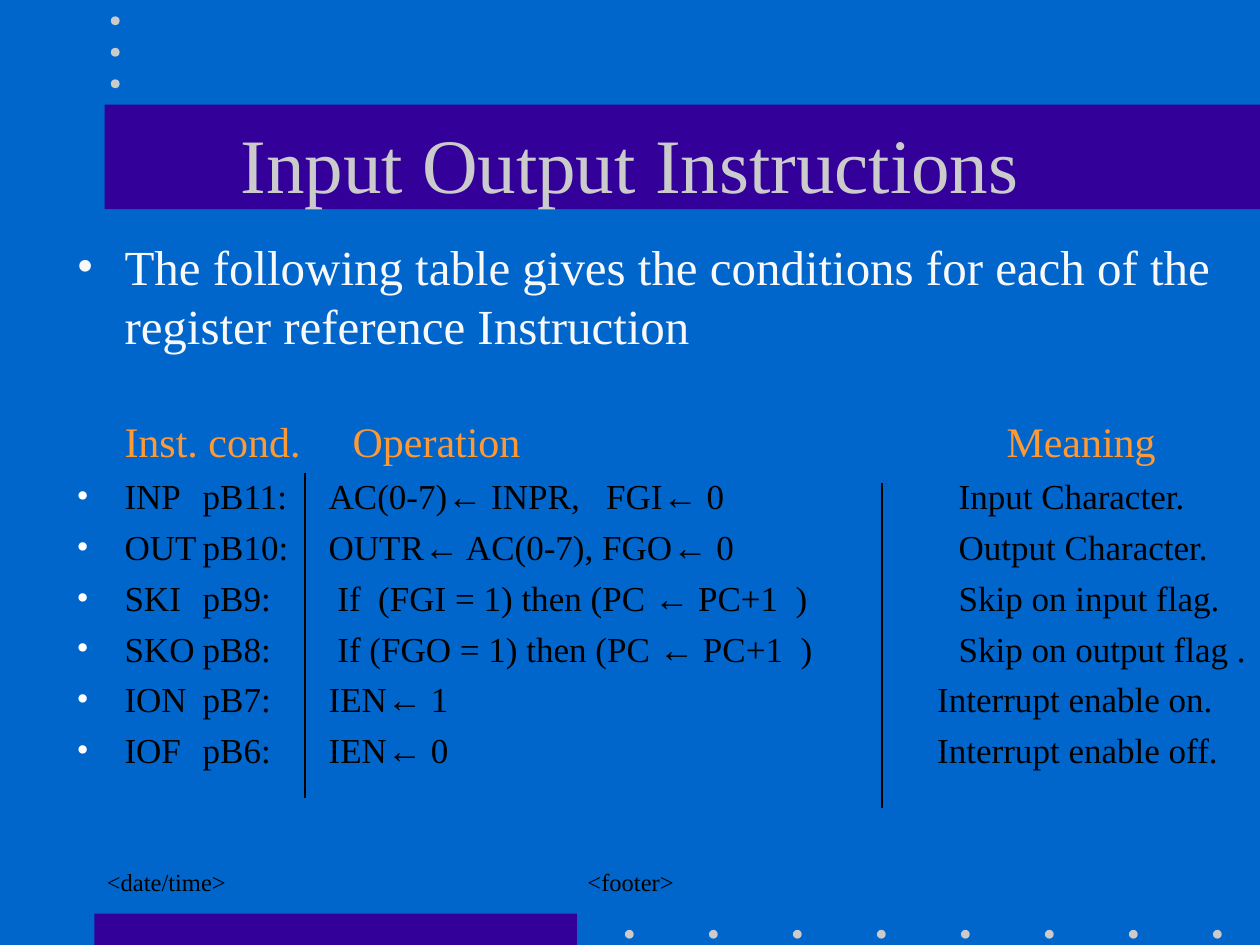
from lxml import etree
from pptx import Presentation
from pptx.dml.color import RGBColor
from pptx.enum import shapes, text
from pptx.oxml import ns
from pptx.util import Inches, Pt

BLUE = RGBColor(0x00, 0x66, 0xCC)
PURPLE = RGBColor(0x33, 0x00, 0x99)
GREY = RGBColor(0xCB, 0xCB, 0xCB)
OFF_WHITE = RGBColor(0xF8, 0xF8, 0xF8)
WHITE = RGBColor(0xFF, 0xFF, 0xFF)
ORANGE = RGBColor(0xFF, 0x99, 0x33)
BLACK = RGBColor(0x00, 0x00, 0x00)
SERIF, ARROW_FONT, ARROW = "Times New Roman", "Arial", "←"

TITLE = "Input Output Instructions"
INTRO = ("The following table gives the conditions for each of the "
         "register reference Instruction")
HEADINGS = ("Inst. cond.", "Operation", "Meaning")
# instruction, condition, operation, meaning, tab position of the meaning
INSTRUCTIONS = [
    ("INP", "pB11:", "AC(0-7)← INPR,   FGI← 0", "Input Character.", 7),
    ("OUT", "pB10:", "OUTR← AC(0-7), FGO← 0", "Output Character.", 7),
    ("SKI", "pB9:", " If  (FGI = 1) then (PC ← PC+1  )", "Skip on input flag.", 7),
    ("SKO", "pB8:", " If (FGO = 1) then (PC ← PC+1  )", "Skip on output flag .", 7),
    ("ION", "pB7:", "IEN← 1", "Interrupt enable on.", 6.83),
    ("IOF", "pB6:", "IEN← 0", "Interrupt enable off.", 6.83),
]
INDENT = 0.38
HEADING_TABS = (INDENT, 2.19, 7.38)
FOOTERS = [
    ("<date/time>", 0.75, 2.08, text.PP_ALIGN.LEFT),
    ("<footer>", 3.42, 3.17, text.PP_ALIGN.CENTER),
]
BANDS = [(0.75, 7.25, 3.83, 0.25), (0.83, 0.83, 9.17, 0.83)]
DOT = 0.07
DOTS = ([(4.96 + column * 2 / 3, 7.38) for column in range(8)]
        + [(0.88, 0.13 + row / 4) for row in range(3)])
DIVIDERS = [(2.42, 3.75), (7, 3.83)]
DIVIDER_HEIGHT = 2.58


def add_decoration(slide, kind, box, color):
    shape = slide.shapes.add_shape(kind, *map(Inches, box))
    shape.shadow.inherit = False
    shape.fill.solid()
    shape.fill.fore_color.rgb = color
    shape.line.fill.background()


def add_divider(slide, x, y):
    line = slide.shapes.add_connector(
        shapes.MSO_CONNECTOR.STRAIGHT, Inches(x), Inches(y),
        Inches(x), Inches(y + DIVIDER_HEIGHT))
    line.line.color.rgb = BLACK
    line.line.width = Pt(1)
    etree.SubElement(line._element.spPr, ns.qn("a:effectLst"))


def set_up_frame(shape, anchor=text.MSO_ANCHOR.TOP):
    frame = shape.text_frame
    frame.word_wrap = True
    frame.auto_size = text.MSO_AUTO_SIZE.NONE
    frame.vertical_anchor = anchor
    return frame


def write(paragraph, content, size, color, align=text.PP_ALIGN.LEFT,
          before=0, bullet=None, tabs=()):
    """Fill a paragraph, giving each arrow its own font."""
    paragraph.alignment = align
    paragraph.space_before = Pt(before)
    properties = paragraph._p.get_or_add_pPr()
    if bullet is not None:
        properties.set("marL", str(Inches(INDENT)))
        properties.set("indent", str(-Inches(INDENT)))
        bullet_color = etree.SubElement(properties, ns.qn("a:buClr"))
        etree.SubElement(bullet_color, ns.qn("a:srgbClr"), val=str(bullet))
        etree.SubElement(properties, ns.qn("a:buFont"), typeface=SERIF)
        etree.SubElement(properties, ns.qn("a:buChar"), char="•")
    if tabs:
        tab_list = etree.SubElement(properties, ns.qn("a:tabLst"))
        for position in tabs:
            etree.SubElement(tab_list, ns.qn("a:tab"),
                             pos=str(Inches(position)), algn="l")
    for index, part in enumerate(content.split(ARROW)):
        pieces = [(part, SERIF)]
        if index:
            pieces.insert(0, (ARROW, ARROW_FONT))
        for piece, name in pieces:
            run = paragraph.add_run()
            run.text = piece
            run.font.size = Pt(size)
            run.font.name = name
            run.font.color.rgb = color


def main():
    presentation = Presentation()
    presentation.slide_width = Inches(10)
    presentation.slide_height = Inches(7.5)
    slide = presentation.slides.add_slide(presentation.slide_layouts[5])
    slide.background.fill.solid()
    slide.background.fill.fore_color.rgb = BLUE

    for band in BANDS:
        add_decoration(slide, shapes.MSO_SHAPE.RECTANGLE, band, PURPLE)
    for x, y in DOTS:
        add_decoration(slide, shapes.MSO_SHAPE.OVAL, (x, y, DOT, DOT), GREY)

    for label, left, width, align in FOOTERS:
        box = slide.shapes.add_textbox(
            Inches(left), Inches(6.83), Inches(width), Inches(0.5))
        write(set_up_frame(box).paragraphs[0], label, 14, BLACK, align=align)

    title = slide.shapes.title
    title.left, title.top = Inches(0.75), Inches(0.67)
    title.width, title.height = Inches(8.5), Inches(1.25)
    slide.shapes._spTree.append(title._element)  # in front of the band
    frame = set_up_frame(title, text.MSO_ANCHOR.MIDDLE)
    write(frame.paragraphs[0], TITLE, 44, GREY, align=text.PP_ALIGN.CENTER)

    body = slide.shapes.add_textbox(
        Inches(0.51), Inches(1.83), Inches(9.49), Inches(4.92))
    frame = set_up_frame(body)
    frame.margin_right = 0
    write(frame.paragraphs[0], INTRO, 28, OFF_WHITE, bullet=OFF_WHITE)
    write(frame.add_paragraph(), "\t" + "\t".join(HEADINGS), 24, ORANGE,
          before=35, tabs=HEADING_TABS)
    for *cells, meaning_tab in INSTRUCTIONS:
        write(frame.add_paragraph(), "\t".join(cells), 20, BLACK,
              before=5, bullet=WHITE, tabs=(1, 2, meaning_tab))

    for x, y in DIVIDERS:
        add_divider(slide, x, y)
    presentation.save("out.pptx")


if __name__ == "__main__":
    main()
